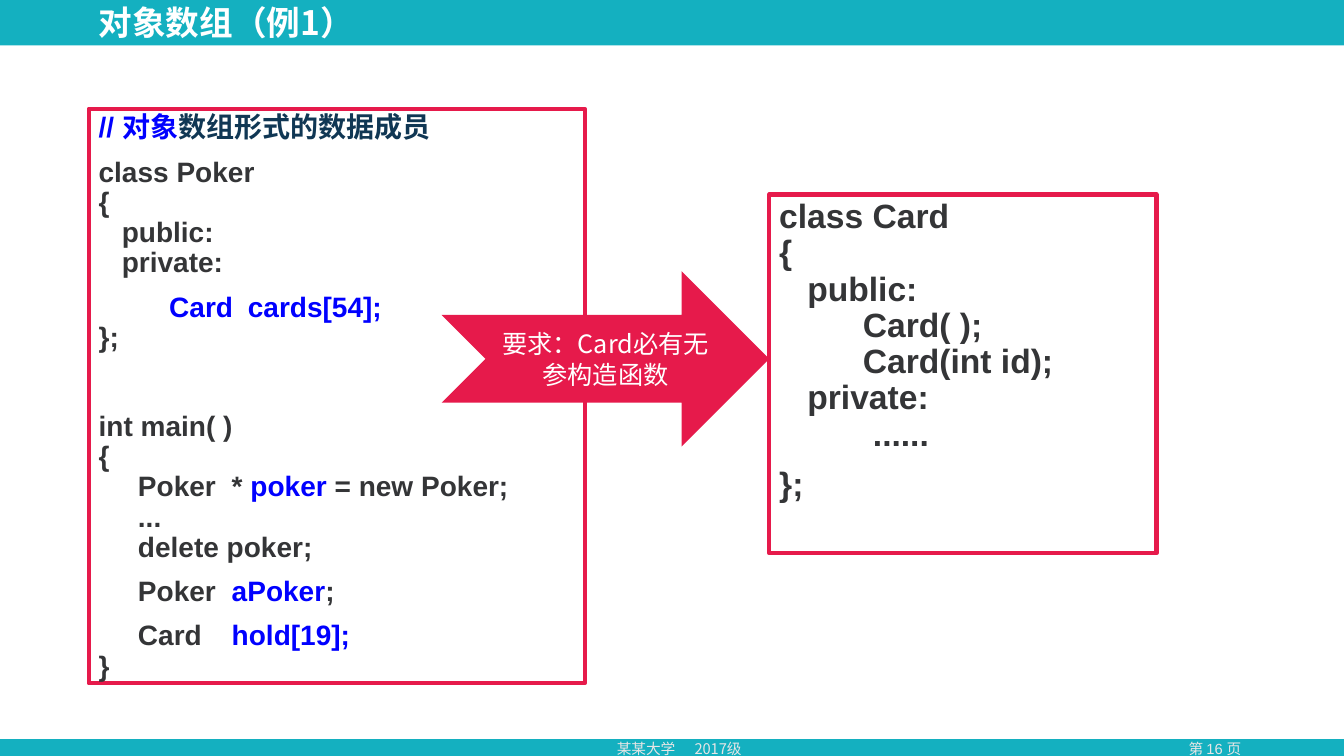
import lxml.etree
import pptx
import pptx.dml.color
import pptx.enum.shapes
import pptx.enum.text
import pptx.oxml.ns
import pptx.util

Inches = pptx.util.Inches
Shapes = pptx.enum.shapes.MSO_SHAPE
Align = pptx.enum.text.PP_ALIGN
Anchor = pptx.enum.text.MSO_ANCHOR

TEAL, RED, WHITE, PALE = "14B0C0", "E61A4B", "FFFFFF", "E7E6E6"
INK, BLUE, NAVY = "343537", "0000FF", "103754"
LATIN, CHINESE = "Arial", "Noto Sans CJK SC"


def color(value):
    """Turn a hex string into a colour."""
    return pptx.dml.color.RGBColor.from_string(value)


def assign(target, values):
    """Set attributes of target from a dict."""
    for name, value in values.items():
        setattr(target, name, value)


def line(*runs, indent=0, column=None, before=0):
    """Describe a line; a tab in it jumps to column (inches)."""
    return {"runs": runs, "indent": indent, "column": column, "before": before}


class SlideBuilder:
    """Holds the current slide and its text style."""

    def __init__(self, slide):
        """Keep the slide to draw on."""
        self.slide = slide

    def shape(self, kind, box, fill=None, outline=None):
        """Add a preset shape."""
        shape = self.slide.shapes.add_shape(kind, *map(Inches, box))
        shape.shadow.inherit = False
        if fill:
            shape.fill.solid()
            shape.fill.fore_color.rgb = color(fill)
        else:
            shape.fill.background()
        if outline:
            shape.line.color.rgb = color(outline)
            shape.line.width = pptx.util.Pt(3)
        else:
            shape.line.fill.background()
        return shape

    def text_box(self, box):
        """Add an empty text box."""
        return self.slide.shapes.add_textbox(*map(Inches, box))

    def add_lines(self, shape, lines, size, ink, font=CHINESE, bold=False,
                  align=Align.LEFT, anchor=Anchor.TOP, spacing=1.0):
        """Fill a shape with lines; a run is a string or (string, colour)."""
        frame = shape.text_frame
        assign(frame, {"word_wrap": True, "vertical_anchor": anchor})
        for index, item in enumerate(lines):
            paragraph = frame.add_paragraph() if index else frame.paragraphs[0]
            assign(paragraph, {"alignment": align, "line_spacing": spacing,
                               "space_before": pptx.util.Pt(item["before"])})
            margin = item["indent"] if item["column"] is None else item["column"]
            properties = paragraph._p.get_or_add_pPr()
            properties.set("marL", str(Inches(margin)))
            properties.set("indent", str(Inches(item["indent"] - margin)))
            for piece in item["runs"]:
                text, run_ink = (piece, ink) if isinstance(piece, str) else piece
                run = paragraph.add_run()
                run.text = text
                run.font.color.rgb = color(run_ink)
                assign(run.font, {"size": pptx.util.Pt(size), "bold": bold, "name": font})
                properties = run._r.get_or_add_rPr()
                east_asian = lxml.etree.SubElement(properties, pptx.oxml.ns.qn("a:ea"))
                east_asian.set("typeface", CHINESE)

    def code(self, box, lines, size):
        """Add a red frame with code in it."""
        frame = self.shape(Shapes.RECTANGLE, box, outline=RED)
        self.add_lines(frame, lines, size, INK, LATIN, bold=True, spacing=0.9)


presentation = pptx.Presentation()
assign(presentation, {"slide_width": Inches(13.33), "slide_height": Inches(7.5)})
builder = SlideBuilder(presentation.slides.add_slide(presentation.slide_layouts[6]))

builder.shape(Shapes.RECTANGLE, (0, 0, 13.33, 7.5), fill=TEAL)
builder.shape(Shapes.RECTANGLE, (0, 0.45, 13.33, 6.88), fill=WHITE)
builder.add_lines(builder.text_box((11.32, 7.29, 1.46, 0.28)), [line("第 16 页")],
                  10.5, PALE, LATIN, align=Align.CENTER)
builder.add_lines(builder.text_box((6.02, 7.29, 1.84, 0.28)),
                  [line("某某大学\t2017级", column=0.77)], 10.5, PALE)
builder.add_lines(builder.text_box((0.88, 0.06, 7.34, 0.36)), [line("对象数组（例1）")],
                  24, WHITE, bold=True, anchor=Anchor.MIDDLE, spacing=0.9)

GAP = 10
builder.code((7.63, 1.93, 3.84, 3.56), [
    line("class Card"),
    line("{"),
    line("public:", indent=0.28),
    line("Card( );", indent=0.83),
    line("Card(int id);", indent=0.83),
    line("private:", indent=0.28),
    line("......", indent=0.93),
    line("};", before=GAP),
], 24)

BODY, VARIABLE = 0.39, 1.32
builder.code((0.88, 1.08, 4.92, 5.7), [
    line(("// 对象", BLUE), ("数组形式的数据成员", NAVY)),
    line("class Poker", before=GAP),
    line("{"),
    line("public:", indent=0.23),
    line("private:", indent=0.23),
    line(("Card\tcards[54];", BLUE), indent=0.7, column=1.48, before=GAP),
    line("};"),
    line("int main( )", before=42),
    line("{"),
    line("Poker\t* ", ("poker", BLUE), " = new Poker;", indent=BODY, column=VARIABLE),
    line("...", indent=BODY),
    line("delete poker;", indent=BODY),
    line("Poker\t", ("aPoker", BLUE), ";", indent=BODY, column=VARIABLE, before=GAP),
    line("Card\t", ("hold[19];", BLUE), indent=BODY, column=VARIABLE, before=GAP),
    line("}"),
], 20)

arrow = builder.shape(Shapes.NOTCHED_RIGHT_ARROW, (4.38, 2.69, 3.25, 1.74), fill=RED)
builder.add_lines(arrow, [line("要求：Card必有无参构造函数")], 18, WHITE,
                  align=Align.CENTER, anchor=Anchor.MIDDLE)

presentation.save("out.pptx")
